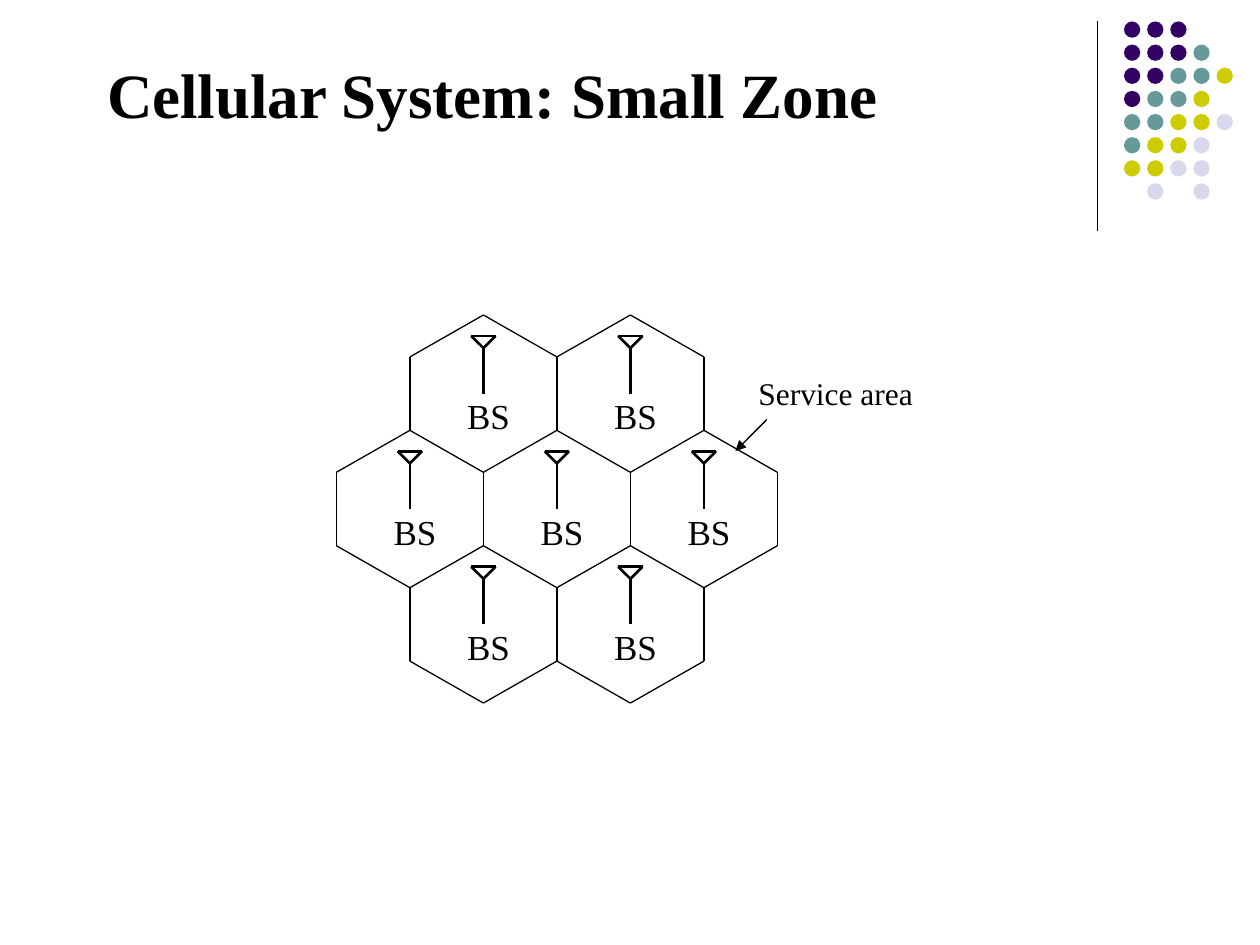
from lxml.etree import SubElement
from pptx import Presentation
from pptx.dml.color import RGBColor
from pptx.enum.shapes import MSO_CONNECTOR, MSO_SHAPE
from pptx.enum.text import MSO_ANCHOR, MSO_AUTO_SIZE, PP_ALIGN
from pptx.oxml.ns import qn
from pptx.util import Inches, Pt

BLACK = RGBColor(0x00, 0x00, 0x00)
DOT_COLORS = {
    "P": RGBColor(0x33, 0x00, 0x66),
    "T": RGBColor(0x66, 0x99, 0x99),
    "Y": RGBColor(0xCC, 0xCC, 0x00),
    "L": RGBColor(0xD8, 0xD8, 0xEC),
}
DOT_ROWS = ["PPP", "PPPT", "PPTTY", "PTTY", "TTYYL", "TYYL", "YYLL", ".L.L"]
FONT = "Times New Roman"
SLIDE_W, SLIDE_H = 10, 7.5
CELL_ROWS = [(2, 4), (1, 3, 5), (2, 4)]


def add_line(shapes, start, end, width=0.75, arrow=False):
    """Draw a black straight line, with an optional arrowhead at its end."""
    points = [Inches(v) for v in (*start, *end)]
    line = shapes.add_connector(MSO_CONNECTOR.STRAIGHT, *points)
    line.line.color.rgb = BLACK
    line.line.width = Pt(width)
    if arrow:
        SubElement(line.line._get_or_add_ln(), qn("a:tailEnd"), type="triangle")
    SubElement(line._element.spPr, qn("a:effectLst"))


def set_text(sp, text, size, align=PP_ALIGN.LEFT, bold=False):
    """Fill a shape with one formatted paragraph."""
    tf = sp.text_frame
    tf.text = text
    tf.word_wrap = True
    tf.auto_size = MSO_AUTO_SIZE.NONE
    p = tf.paragraphs[0]
    p.alignment = align
    font = p.runs[0].font
    font.name, font.size, font.bold = FONT, Pt(size), bold
    font.color.rgb = BLACK


def add_label(shapes, box, text, size, align=PP_ALIGN.LEFT):
    """Add a text box at the given box."""
    set_text(shapes.add_textbox(*map(Inches, box)), text, size, align)


def add_title(s, box):
    """Place and format the slide title."""
    title = s.shapes.title
    title.left, title.top, title.width, title.height = map(Inches, box)
    set_text(title, "Cellular System: Small Zone", 36, bold=True)
    title.text_frame.vertical_anchor = MSO_ANCHOR.BOTTOM


def add_corner(s, box):
    """Draw the corner rule and its grid of coloured dots."""
    left, top, width, height = box
    add_line(s.shapes, (left, top), (left, top + height))
    pitch, size = width * 0.17, width * 0.12
    dots = s.shapes.add_group_shape().shapes
    for row, codes in enumerate(DOT_ROWS):
        for col, code in enumerate(codes):
            if code not in DOT_COLORS:
                continue
            x, y = left + width * 0.195 + col * pitch, top + row * pitch
            dot = dots.add_shape(MSO_SHAPE.OVAL, *map(Inches, (x, y, size, size)))
            dot.shadow.inherit = False
            dot.fill.solid()
            dot.fill.fore_color.rgb = DOT_COLORS[code]
            dot.line.fill.background()


def add_station(s, box):
    """Draw a base station's antenna and label inside its cell."""
    left, top, width, height = box

    def at(x, y):
        """Turn shares of the cell into a point."""
        return left + width * x, top + height * y

    shapes = s.shapes.add_group_shape().shapes
    foot, fork = at(0.5, 0.5), at(0.5, 0.21)
    tips = at(0.417, 0.133), at(0.583, 0.133)
    for start, end in [(foot, fork), (fork, tips[0]), (fork, tips[1]), tips]:
        add_line(shapes, start, end, 1.5)
    label = (*at(0.285, 0.467), width * 0.5, height * 0.35)
    add_label(shapes, label, "BS", 20, PP_ALIGN.CENTER)


def add_cells(s, box):
    """Draw the honeycomb, each shared edge once, with a station per cell."""
    left, top, width, height = box
    half = width / 6
    shoulder = height * 4 / 37
    pitch = (height - shoulder) / len(CELL_ROWS)

    def at(col, level):
        """Turn a honeycomb vertex into a point."""
        return left + col * half, top + level // 2 * pitch + level % 2 * shoulder

    edges = set()
    for row, cols in enumerate(CELL_ROWS):
        n = 2 * row
        for c in cols:
            corners = [(c, n), (c + 1, n + 1), (c + 1, n + 2),
                       (c, n + 3), (c - 1, n + 2), (c - 1, n + 1)]
            for a, b in zip(corners, corners[1:] + corners[:1]):
                edges.add((min(a, b), max(a, b)))
            add_station(s, (*at(c - 1, n), 2 * half, pitch + shoulder))
    outline = s.shapes.add_group_shape().shapes
    for a, b in sorted(edges):
        add_line(outline, at(*a), at(*b))


def add_callout(s, box):
    """Add the service area label with its arrow."""
    left, top, width, height = box
    add_label(s.shapes, (left, top, width, height * 0.6), "Service area", 18)
    add_line(s.shapes, (left + width * 0.08, top + height * 0.62),
             (left - width * 0.04, top + height), arrow=True)


def main():
    """Build and save the slide."""
    prs = Presentation()
    prs.slide_width, prs.slide_height = Inches(SLIDE_W), Inches(SLIDE_H)
    s = prs.slides.add_slide(prs.slide_layouts[5])
    add_corner(s, (8.71, 0.17, 1.08, 1.66))
    add_title(s, (0.75, 0.17, 8.9, 0.92))
    add_cells(s, (2.67, 2.5, 3.5, 3.08))
    add_callout(s, (5.92, 2.92, 2.08, 0.66))
    prs.save("out.pptx")


if __name__ == "__main__":
    main()
